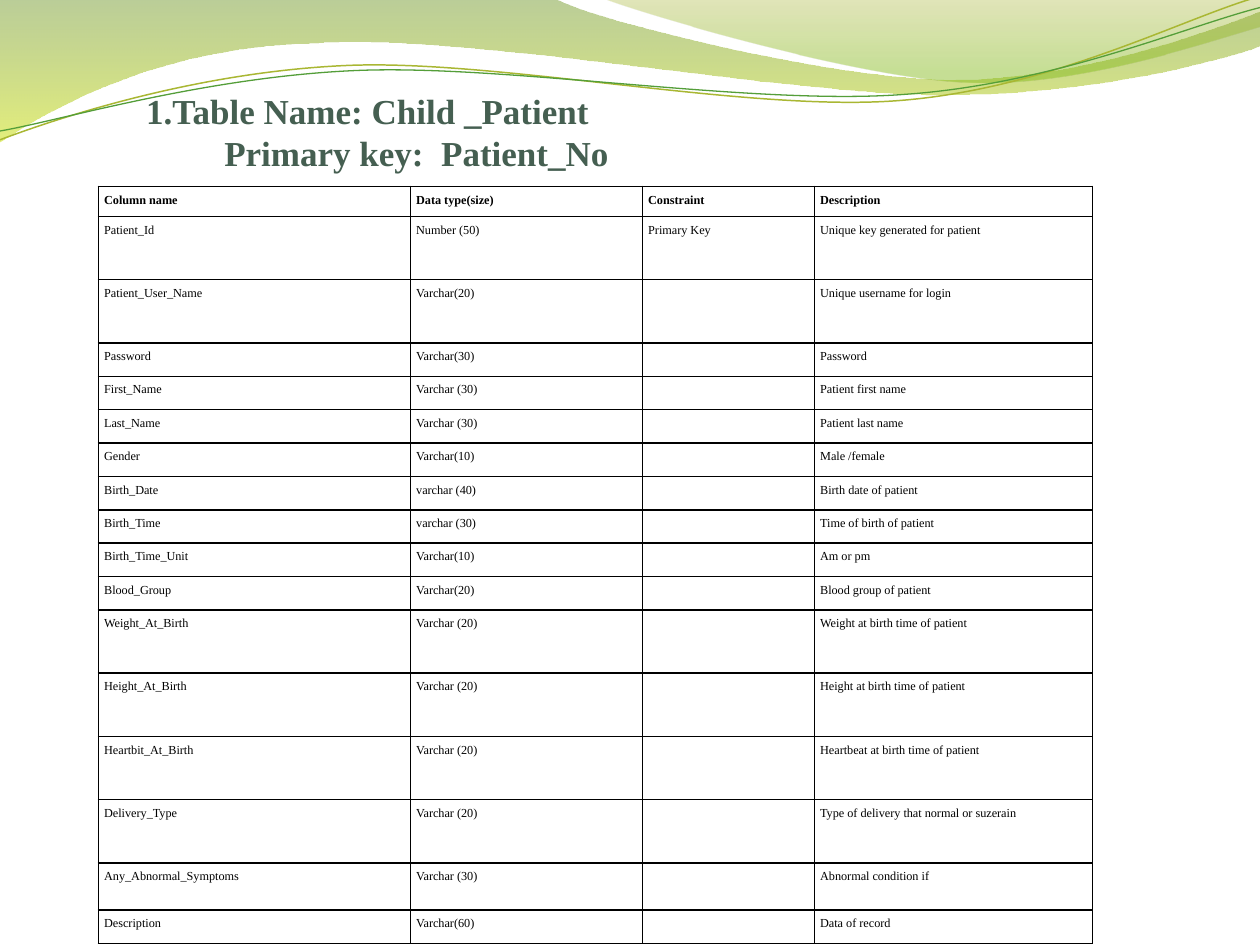
from lxml.etree import SubElement
from pptx import Presentation
from pptx.dml.color import RGBColor
from pptx.enum.text import MSO_ANCHOR, MSO_AUTO_SIZE, PP_ALIGN
from pptx.oxml.ns import qn
from pptx.util import Inches, Pt

FONT = "Times New Roman"
TITLE = [("1.Table Name: Child _Patient", 0), ("Primary key:  Patient_No", 0.62)]

# Table measures are in points.
COLUMN_WIDTHS = [178.3, 132.6, 98.3, 158.9]
SHORT, TALL = 19.1, 36.15
ROWS = [  # height, name, type, constraint, description
    (17.1, "Column name", "Data type(size)", "Constraint", "Description"),
    (TALL, "Patient_Id", "Number (50)", "Primary Key", "Unique key generated for patient"),
    (TALL, "Patient_User_Name", "Varchar(20)", "", "Unique username for login"),
    (SHORT, "Password", "Varchar(30)", "", "Password"),
    (SHORT, "First_Name", "Varchar (30)", "", "Patient first name"),
    (SHORT, "Last_Name", "Varchar (30)", "", "Patient last name"),
    (SHORT, "Gender", "Varchar(10)", "", "Male /female"),
    (SHORT, "Birth_Date", "varchar (40)", "", "Birth date of patient"),
    (SHORT, "Birth_Time", "varchar (30)", "", "Time of birth of patient"),
    (SHORT, "Birth_Time_Unit", "Varchar(10)", "", "Am or pm"),
    (SHORT, "Blood_Group", "Varchar(20)", "", "Blood group of patient"),
    (TALL, "Weight_At_Birth", "Varchar (20)", "", "Weight at birth time of patient"),
    (TALL, "Height_At_Birth", "Varchar (20)", "", "Height at birth time of patient"),
    (TALL, "Heartbit_At_Birth", "Varchar (20)", "", "Heartbeat at birth time of patient"),
    (TALL, "Delivery_Type", "Varchar (20)", "", "Type of delivery that normal or suzerain"),
    (27, "Any_Abnormal_Symptoms", "Varchar (30)", "", "Abnormal condition if"),
    (SHORT, "Description", "Varchar(60)", "", "Data of record"),
]

# Each path is a start point, then line ends (2 numbers) or cubic curves (6 numbers).
WAVES = [  # path, gradient stops as (position, colour, opacity %)
    ([(0, 0), (4.4, -0.01), (4.75, 0.17, 6.63, 0.63, 7.58, 0.63),
      (8.53, 0.63, 9.58, 0.26, 10, 0.09), (10.01, 0.36),
      (9.83, 0.44, 8.69, 0.76, 7.46, 0.75), (6.22, 0.75, 3.81, 0.28, 2.57, 0.34),
      (1.29, 0.36, 0.46, 0.83, -0.01, 1.13)],
     [(0, "69921C", 45), (1, "CCE10F", 55)]),
    ([(4.79, -0.01), (5.09, 0.11, 6.82, 0.62, 7.68, 0.65),
      (8.55, 0.69, 9.61, 0.32, 10, 0.21), (10, 0)],
     [(0, "9BAA1A", 30), (0.8, "81BA16", 45)]),
]
STRANDS = [  # path, colour, width
    ([(0, 1.11), (0.48, 0.93, 1.57, 0.57, 2.76, 0.52),
      (3.95, 0.47, 5.92, 0.89, 7.12, 0.8), (8.33, 0.71, 9.38, 0.15, 9.97, -0.02)],
     "A9B733", 0.85),
    ([(0, 1.04), (0.47, 0.96, 1.63, 0.61, 2.83, 0.56),
      (4.02, 0.51, 5.97, 0.84, 7.17, 0.75), (8.36, 0.67, 9.41, 0.21, 10, 0.06)],
     "549E39", 0.75),
]


def rgb(value):
    return RGBColor.from_string(value)


def add_outline(s, path, close):
    """Draw the path through all its points, then merge each control triple into a curve."""
    points = [(Inches(seg[i]), Inches(seg[i + 1]))
              for seg in path for i in range(0, len(seg), 2)]
    builder = s.shapes.build_freeform(*points[0])
    builder.add_line_segments(points[1:], close=close)
    sp = builder.convert_to_shape()
    sp.shadow.inherit = False
    outline = next(sp._element.iter(qn("a:path")))
    lines = iter(outline.findall(qn("a:lnTo")))
    for seg in path[1:]:
        first = next(lines)
        if len(seg) == 6:
            curve = outline.makeelement(qn("a:cubicBezTo"), {})
            first.addprevious(curve)
            for line in (first, next(lines), next(lines)):
                curve.append(line[0])
                outline.remove(line)
    return sp


def add_wave(s, path, stops):
    sp = add_outline(s, path, True)
    sp.line.fill.background()
    sp.fill.gradient()
    sp.fill.gradient_angle = 270
    for stop, (position, colour, _) in zip(sp.fill.gradient_stops, stops):
        stop.position = position
        stop.color.rgb = rgb(colour)
    colours = sp._element.spPr.iter(qn("a:srgbClr"))
    for clr, (_, _, opacity) in zip(colours, stops):
        SubElement(clr, qn("a:alpha"), val=str(opacity * 1000))


def add_strand(s, path, colour, width):
    sp = add_outline(s, path, False)
    sp.fill.background()
    sp.line.color.rgb = rgb(colour)
    sp.line.width = Pt(width)


def set_font(font, size, colour, bold):
    font.name, font.size, font.bold = FONT, Pt(size), bold
    font.color.rgb = rgb(colour)


def format_title(title):
    title.left, title.top, title.width, title.height = map(Inches, (1.16, 0.47, 9, 1.25))
    tf = title.text_frame
    tf.text = "\n".join(text for text, _ in TITLE)
    tf.word_wrap, tf.auto_size = True, MSO_AUTO_SIZE.NONE
    tf.vertical_anchor = MSO_ANCHOR.BOTTOM
    tf.margin_left = tf.margin_right = 0
    tf.margin_bottom = Inches(0.34)
    for p, (_, indent) in zip(tf.paragraphs, TITLE):
        p.alignment, p.line_spacing, p.space_before = PP_ALIGN.LEFT, 1.0, Pt(0)
        p._p.get_or_add_pPr().set("marL", str(Inches(indent)))
        set_font(p.font, 20, "455F51", True)


def add_borders(cell):
    tcPr = cell._tc.get_or_add_tcPr()
    for i, side in enumerate(("lnL", "lnR", "lnT", "lnB")):
        ln = tcPr.makeelement(qn(f"a:{side}"), {"w": str(Pt(1))})
        SubElement(SubElement(ln, qn("a:solidFill")), qn("a:srgbClr"), val="000000")
        tcPr.insert(i, ln)


def fill_cell(cell, text, bold):
    cell.text = text
    cell.margin_left = cell.margin_right = Pt(3.4)
    cell.margin_top = cell.margin_bottom = 0
    cell.fill.solid()
    cell.fill.fore_color.rgb = rgb("FFFFFF")
    add_borders(cell)
    p = cell.text_frame.paragraphs[0]
    if text:
        p.alignment, p.line_spacing, p.space_after = PP_ALIGN.JUSTIFY, 1.5, Pt(10)
        set_font(p.font, 7, "000000", bold)
    else:
        SubElement(p._p, qn("a:endParaRPr"), sz="700")


def add_field_table(s):
    frame = s.shapes.add_table(len(ROWS), len(COLUMN_WIDTHS), Inches(0.78), Inches(1.48),
                               Pt(sum(COLUMN_WIDTHS)), Pt(sum(row[0] for row in ROWS)))
    table = frame.table
    table.first_row = table.horz_banding = False
    for column, width in zip(table.columns, COLUMN_WIDTHS):
        column.width = Pt(width)
    for i, (height, *texts) in enumerate(ROWS):
        table.rows[i].height = Pt(height)
        for cell, text in zip(table.rows[i].cells, texts):
            fill_cell(cell, text, i == 0)


def main():
    prs = Presentation()
    prs.slide_width, prs.slide_height = Inches(10), Inches(7.5)
    s = prs.slides.add_slide(prs.slide_layouts[5])
    for wave in WAVES:
        add_wave(s, *wave)
    for strand in STRANDS:
        add_strand(s, *strand)
    title = s.shapes.title
    format_title(title)
    s.shapes._spTree.append(title._element)  # bring in front of the waves
    add_field_table(s)
    prs.save("out.pptx")


if __name__ == "__main__":
    main()
